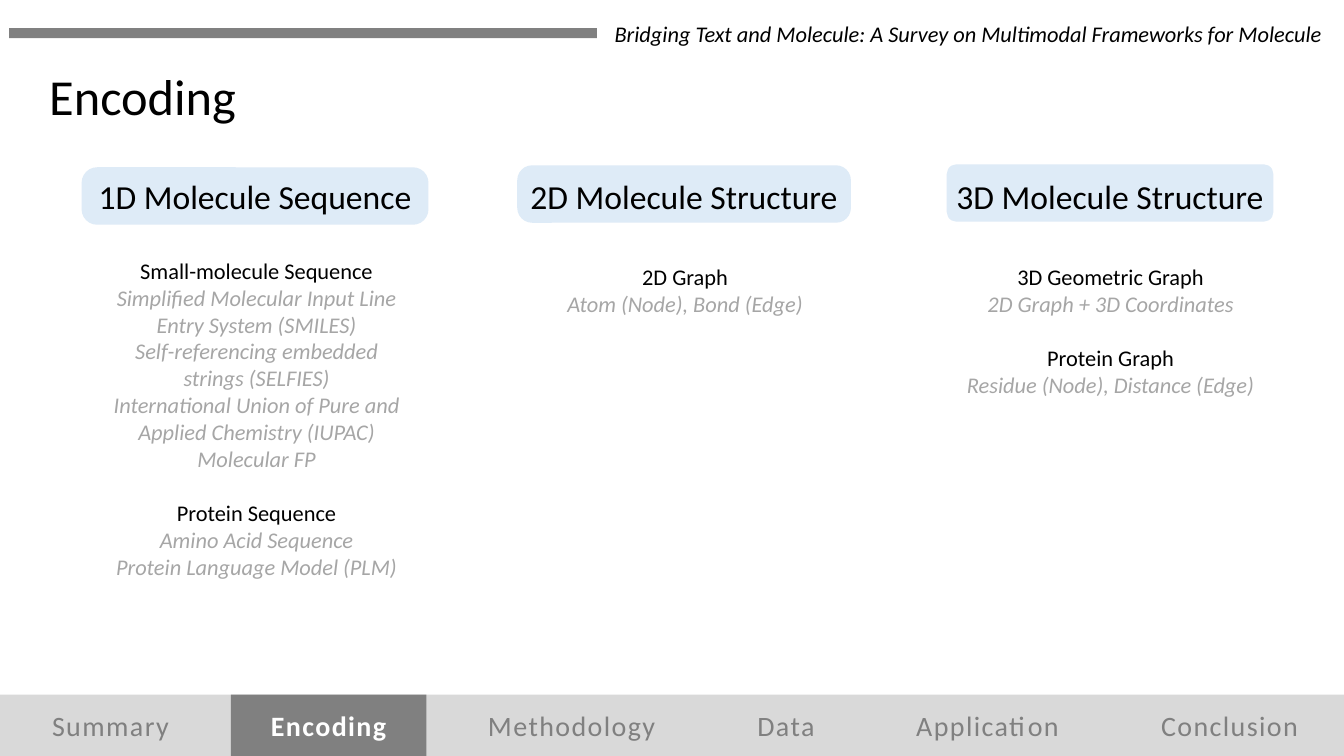
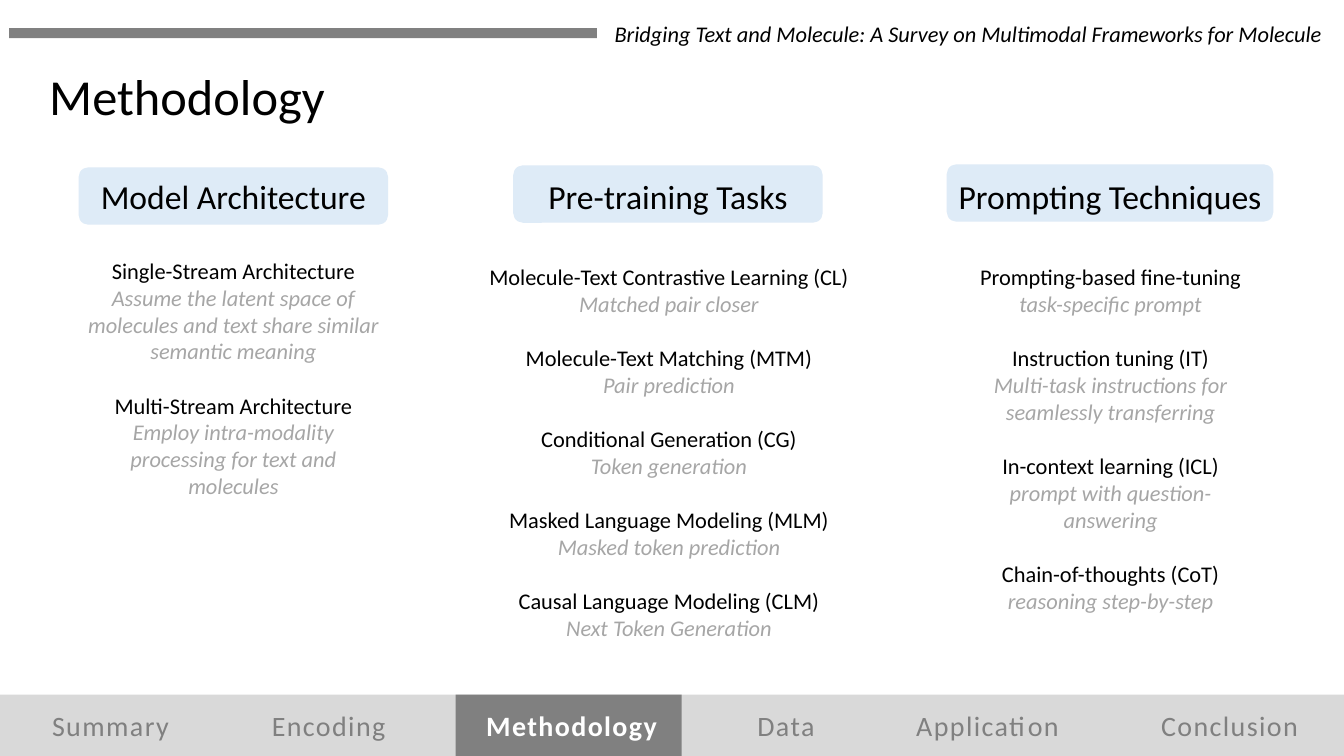
from dataclasses import dataclass

from pptx import Presentation
from pptx.dml.color import RGBColor
from pptx.enum.shapes import MSO_SHAPE
from pptx.enum.text import MSO_ANCHOR, MSO_AUTO_SIZE, PP_ALIGN
from pptx.util import Emu, Pt

RECT, ROUND_RECT = MSO_SHAPE.RECTANGLE, MSO_SHAPE.ROUNDED_RECTANGLE
LEFT, CENTER, RIGHT = PP_ALIGN.LEFT, PP_ALIGN.CENTER, PP_ALIGN.RIGHT
MIDDLE = MSO_ANCHOR.MIDDLE
GROW = MSO_AUTO_SIZE.SHAPE_TO_FIT_TEXT
EMU_PER_PX = 9144  # 100 px to the inch
SLIDE_W, SLIDE_H = 1333, 750


@dataclass(frozen=True)
class Theme:
    font: str = "Calibri"
    text: str = "000000"
    muted: str = "A6A6A6"
    accent: str = "808080"
    band: str = "D9D9D9"
    pill: str = "DEEBF7"
    inverse: str = "FFFFFF"
    title_size: int = 36
    label_size: int = 24
    nav_size: int = 20
    body_size: int = 16
    group_gap: float = 19.5


@dataclass(frozen=True)
class Column:
    """pill is (x, y, w), body is (x, y, w, h), groups are (heading, details)."""
    label: str
    pill: tuple
    body: tuple
    groups: tuple
    rounding: float = 0.17


THEME = Theme()
RUNNING_TITLE = "Bridging Text and Molecule: A Survey on Multimodal Frameworks for Molecule"

NAV_WIDTHS = {"Summary": 141, "Encoding": 136, "Methodology": 190,
              "Data": 79, "Application": 165, "Conclusion": 159}
NAV_LEFT, NAV_GAP = 39, 78
BAND_TOP, BAND_H = 689, 61
PILL_H, LABEL_MID = 57, 195

ENCODING = (
    Column("1D Molecule Sequence", (81, 166, 344), (98, 250, 313, 333), (
        ("Small-molecule Sequence", (
            "Simplified Molecular Input Line Entry System (SMILES)",
            "Self-referencing embedded strings (SELFIES)",
            "International Union of Pure and Applied Chemistry (IUPAC)",
            "Molecular FP")),
        ("Protein Sequence", ("Amino Acid Sequence", "Protein Language Model (PLM)")),
    ), rounding=0.27),
    Column("2D Molecule Structure", (513, 164, 331), (488, 256, 383, 64), (
        ("2D Graph", ("Atom (Node), Bond (Edge)",)),
    ), rounding=0.26),
    Column("3D Molecule Structure", (939, 163, 324), (946, 256, 311, 145), (
        ("3D Geometric Graph", ("2D Graph + 3D Coordinates",)),
        ("Protein Graph", ("Residue (Node), Distance (Edge)",)),
    )),
)

METHODOLOGY = (
    Column("Model Architecture", (78, 166, 307), (75, 250, 313, 252), (
        ("Single-Stream Architecture", (
            "Assume the latent space of molecules and text share similar semantic meaning",)),
        ("Multi-Stream Architecture", (
            "Employ intra-modality processing for text and molecules",)),
    )),
    Column("Pre-training Tasks", (509, 164, 307), (472, 256, 383, 387), (
        ("Molecule-Text Contrastive Learning (CL)", ("Matched pair closer",)),
        ("Molecule-Text Matching (MTM)", ("Pair prediction",)),
        ("Conditional Generation (CG)", ("Token generation",)),
        ("Masked Language Modeling (MLM)", ("Masked token prediction",)),
        ("Causal Language Modeling (CLM)", ("Next Token Generation",)),
    )),
    Column("Prompting Techniques", (939, 163, 324), (946, 256, 311, 360), (
        ("Prompting-based fine-tuning", ("task-specific prompt",)),
        ("Instruction tuning (IT)", ("Multi-task instructions for seamlessly transferring",)),
        ("In-context learning (ICL)", ("prompt with question-answering",)),
        ("Chain-of-thoughts (CoT)", ("reasoning step-by-step",)),
    )),
)


def px(n):
    return Emu(n * EMU_PER_PX)


def rgb(color):
    return RGBColor.from_string(color)


def write(p, text, *, size, color=THEME.text, bold=False, italic=False,
          align=CENTER, before=0, tracking=0):
    """Fill paragraph p with one run; before and tracking are in points."""
    p.alignment = align
    p.space_before = Pt(before)
    r = p.add_run()
    r.text = text
    r.font.name = THEME.font
    r.font.size = Pt(size)
    r.font.bold = bold
    r.font.italic = italic
    r.font.color.rgb = rgb(color)
    if tracking:
        r._r.get_or_add_rPr().set("spc", str(tracking * 100))


def add_text_frame(slide, x, y, w, h, wrap=True):
    tf = slide.shapes.add_textbox(px(x), px(y), px(w), px(h)).text_frame
    tf.word_wrap = wrap
    tf.auto_size = GROW
    return tf


def add_box(slide, x, y, w, h, fill, kind=RECT):
    sp = slide.shapes.add_shape(kind, px(x), px(y), px(w), px(h))
    sp.shadow.inherit = False
    sp.fill.solid()
    sp.fill.fore_color.rgb = rgb(fill)
    sp.line.fill.background()
    return sp


def add_header(slide, title):
    add_box(slide, 9, 28, 583, 10, THEME.accent)
    tf = add_text_frame(slide, 403, 15, 918, 37)
    write(tf.paragraphs[0], RUNNING_TITLE, size=THEME.body_size, italic=True, align=RIGHT)
    tf = add_text_frame(slide, 39, 60, 296, 71, wrap=False)
    write(tf.paragraphs[0], title, size=THEME.title_size, align=LEFT)


def add_nav(slide, active, tab_x, tab_w):
    add_box(slide, 0, BAND_TOP, SLIDE_W, BAND_H, THEME.band)
    add_box(slide, tab_x, BAND_TOP, tab_w, BAND_H, THEME.accent)
    x = NAV_LEFT
    for name, w in NAV_WIDTHS.items():
        current = name == active
        tf = add_text_frame(slide, x, 698, w, 44, wrap=False)
        write(tf.paragraphs[0], name, size=THEME.nav_size, bold=current, tracking=1,
              color=THEME.inverse if current else THEME.accent)
        x += w + NAV_GAP


def add_pill(slide, column):
    x, y, w = column.pill
    sp = add_box(slide, x, y, w, PILL_H, THEME.pill, ROUND_RECT)
    sp.adjustments[0] = column.rounding
    tf = sp.text_frame
    tf.word_wrap = False
    tf.vertical_anchor = MIDDLE
    tf.margin_left = tf.margin_right = tf.margin_bottom = 0
    # The top inset brings all labels to one height, whatever the pill's top.
    tf.margin_top = px(2 * LABEL_MID - 2 * y - PILL_H)
    write(tf.paragraphs[0], column.label, size=THEME.label_size)


def add_column(slide, column):
    add_pill(slide, column)
    tf = add_text_frame(slide, *column.body)
    p = tf.paragraphs[0]
    for i, (heading, details) in enumerate(column.groups):
        if i:
            p = tf.add_paragraph()
        write(p, heading, size=THEME.body_size, before=THEME.group_gap if i else 0)
        for detail in details:
            write(tf.add_paragraph(), detail, size=THEME.body_size,
                  color=THEME.muted, italic=True)


def add_section(prs, title, columns, tab_x, tab_w):
    slide = prs.slides.add_slide(prs.slide_layouts[6])
    add_header(slide, title)
    add_nav(slide, title, tab_x, tab_w)
    for column in columns:
        add_column(slide, column)


def main():
    prs = Presentation()
    prs.slide_width, prs.slide_height = px(SLIDE_W), px(SLIDE_H)
    add_section(prs, "Encoding", ENCODING, tab_x=229, tab_w=194)
    add_section(prs, "Methodology", METHODOLOGY, tab_x=452, tab_w=224)
    prs.save("out.pptx")


if __name__ == "__main__":
    main()
